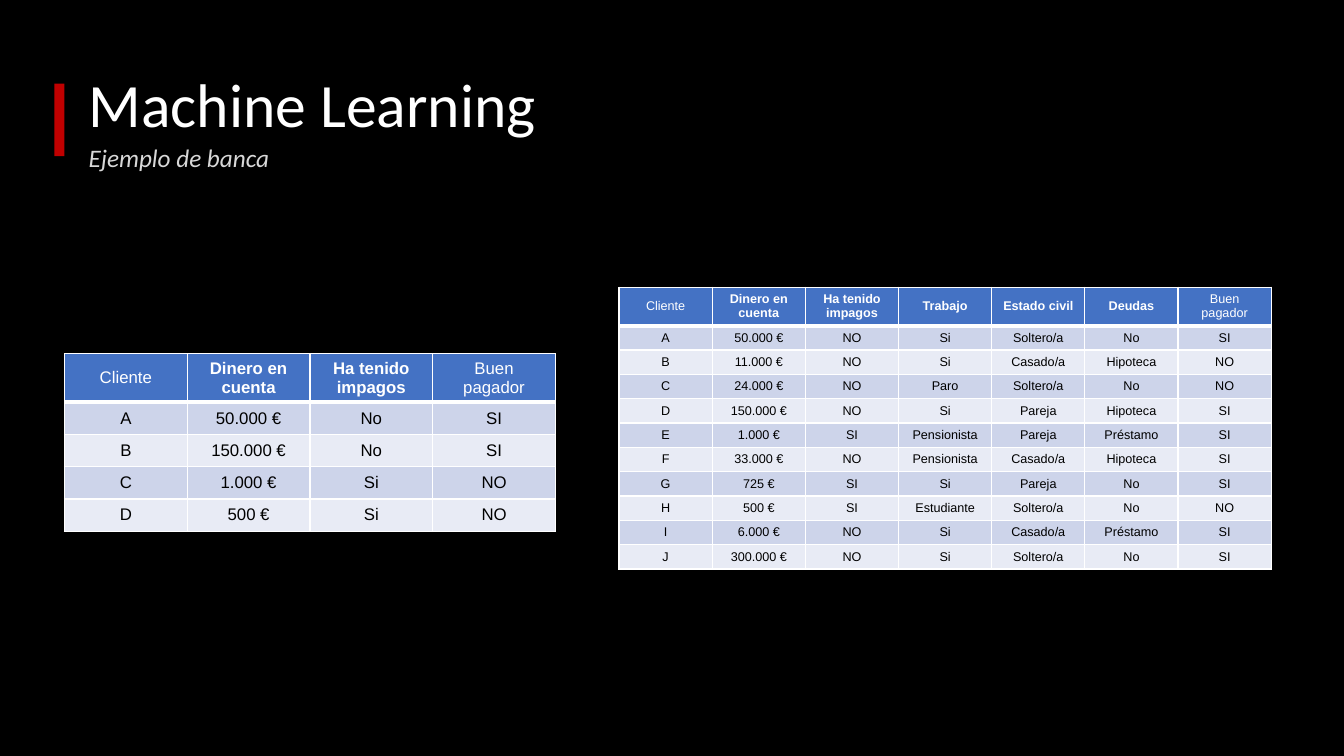
from dataclasses import dataclass

from lxml import etree
from pptx import Presentation
from pptx import util as u
from pptx.dml.color import RGBColor
from pptx.enum import shapes, text
from pptx.oxml.ns import qn

WIDTH, HEIGHT = u.Inches(13.33), u.Inches(7.5)
WHITE, BLACK, RED = "FFFFFF", "000000", "C00000"
HEADER_FILL, BANDS = "4472C4", ("CDD4EA", "E8EBF5")


@dataclass
class Box:
    """Left, top, width and height as percentages of the slide."""
    x: float
    y: float
    w: float
    h: float

    def emu(self) -> tuple[int, int, int, int]:
        return (int(WIDTH * self.x / 100), int(HEIGHT * self.y / 100),
                int(WIDTH * self.w / 100), int(HEIGHT * self.h / 100))


@dataclass
class ClientTable:
    """A table of clients; row heights are percentages of the slide height."""
    x: float
    y: float
    w: float
    header_h: float
    row_h: float
    size: int
    header: list[str]
    rows: list[list[str]]


@dataclass
class Heading:
    idx: int
    box: Box
    words: str
    size: int
    color: str
    italic: bool
    anchor: text.MSO_ANCHOR


HEADINGS = [
    Heading(0, Box(5.85, 4.53, 86.25, 19.33), "Machine Learning", 44, WHITE, False,
            text.MSO_ANCHOR.MIDDLE),
    Heading(1, Box(5.85, 18.67, 45, 6.93), "Ejemplo de banca", 18, "D8D8D8", True,
            text.MSO_ANCHOR.TOP),
]

TABLES = [
    ClientTable(4.8, 46.8, 36.53, 6.4, 4.27, 12,
                ["Cliente", "Dinero en cuenta", "Ha tenido impagos", "Buen pagador"],
                [["A", "50.000 €", "No", "SI"],
                 ["B", "150.000 €", "No", "SI"],
                 ["C", "1.000 €", "Si", "NO"],
                 ["D", "500 €", "Si", "NO"]]),
    ClientTable(46.06, 38, 48.54, 5.07, 3.22, 9,
                ["Cliente", "Dinero en cuenta", "Ha tenido impagos", "Trabajo",
                 "Estado civil", "Deudas", "Buen pagador"],
                [["A", "50.000 €", "NO", "Si", "Soltero/a", "No", "SI"],
                 ["B", "11.000 €", "NO", "Si", "Casado/a", "Hipoteca", "NO"],
                 ["C", "24.000 €", "NO", "Paro", "Soltero/a", "No", "NO"],
                 ["D", "150.000 €", "NO", "Si", "Pareja", "Hipoteca", "SI"],
                 ["E", "1.000 €", "SI", "Pensionista", "Pareja", "Préstamo", "SI"],
                 ["F", "33.000 €", "NO", "Pensionista", "Casado/a", "Hipoteca", "SI"],
                 ["G", "725 €", "SI", "Si", "Pareja", "No", "SI"],
                 ["H", "500 €", "SI", "Estudiante", "Soltero/a", "No", "NO"],
                 ["I", "6.000 €", "NO", "Si", "Casado/a", "Préstamo", "SI"],
                 ["J", "300.000 €", "NO", "Si", "Soltero/a", "No", "SI"]]),
]


def paint(color_format, color: str) -> None:
    color_format.rgb = RGBColor.from_string(color)


def fill_solid(fill, color: str) -> None:
    fill.solid()
    paint(fill.fore_color, color)


def style_run(r, font: str, size: int, color: str, bold=False, italic=False) -> None:
    r.font.name, r.font.size = font, u.Pt(size)
    r.font.bold, r.font.italic = bold, italic
    paint(r.font.color, color)


def add_heading(s, heading: Heading) -> None:
    sp = s.placeholders[heading.idx]
    sp.left, sp.top, sp.width, sp.height = heading.box.emu()
    tf = sp.text_frame
    tf.text = heading.words
    tf.vertical_anchor = heading.anchor
    p = tf.paragraphs[0]
    p.alignment = text.PP_ALIGN.LEFT
    p.line_spacing, p.space_before = 0.9, u.Pt(0)
    p_pr = p._p.get_or_add_pPr()
    p_pr.set("marL", "0")
    p_pr.set("indent", "0")
    etree.SubElement(p_pr, qn("a:buNone"))
    style_run(p.runs[0], "Calibri", heading.size, heading.color, italic=heading.italic)


def set_borders(cell, top: float, bottom: float) -> None:
    """Draw white cell borders; the side ones are 1 pt wide."""
    tc_pr = cell._tc.get_or_add_tcPr()
    widths = {"lnL": 1, "lnR": 1, "lnT": top, "lnB": bottom}
    for i, (tag, width) in enumerate(widths.items()):
        ln = etree.Element(qn(f"a:{tag}"), w=str(u.Pt(width)))
        solid = etree.SubElement(ln, qn("a:solidFill"))
        etree.SubElement(solid, qn("a:srgbClr"), val=WHITE)
        tc_pr.insert(i, ln)


def add_client_table(s, t: ClientTable) -> None:
    n_cols, n_rows = len(t.header), len(t.rows) + 1
    box = Box(t.x, t.y, t.w, t.header_h + t.row_h * len(t.rows))
    table = s.shapes.add_table(n_rows, n_cols, *box.emu()).table
    for i, words in enumerate([t.header, *t.rows]):
        is_header = i == 0
        table.rows[i].height = int(HEIGHT * (t.header_h if is_header else t.row_h) / 100)
        for j, word in enumerate(words):
            cell = table.cell(i, j)
            cell.text = word
            cell.vertical_anchor = text.MSO_ANCHOR.MIDDLE
            fill_solid(cell.fill, HEADER_FILL if is_header else BANDS[(i - 1) % 2])
            set_borders(cell, top=3 if i == 1 else 1, bottom=3 if is_header else 1)
            p = cell.text_frame.paragraphs[0]
            p.alignment = text.PP_ALIGN.CENTER
            style_run(p.runs[0], "Arial", t.size, WHITE if is_header else BLACK,
                      bold=is_header and 0 < j < n_cols - 1)


def add_accent_bar(s, box: Box) -> None:
    sp = s.shapes.add_shape(shapes.MSO_SHAPE.RECTANGLE, *box.emu())
    sp.shadow.inherit = False
    fill_solid(sp.fill, RED)
    sp.line.fill.background()


def main() -> None:
    prs = Presentation()
    prs.slide_width, prs.slide_height = WIDTH, HEIGHT
    s = prs.slides.add_slide(prs.slide_layouts.get_by_name("Title and Content"))
    fill_solid(s.background.fill, BLACK)
    for heading in HEADINGS:
        add_heading(s, heading)
    add_accent_bar(s, Box(4.05, 11.07, 0.75, 9.6))
    for table in TABLES:
        add_client_table(s, table)
    prs.save("out.pptx")


if __name__ == "__main__":
    main()
